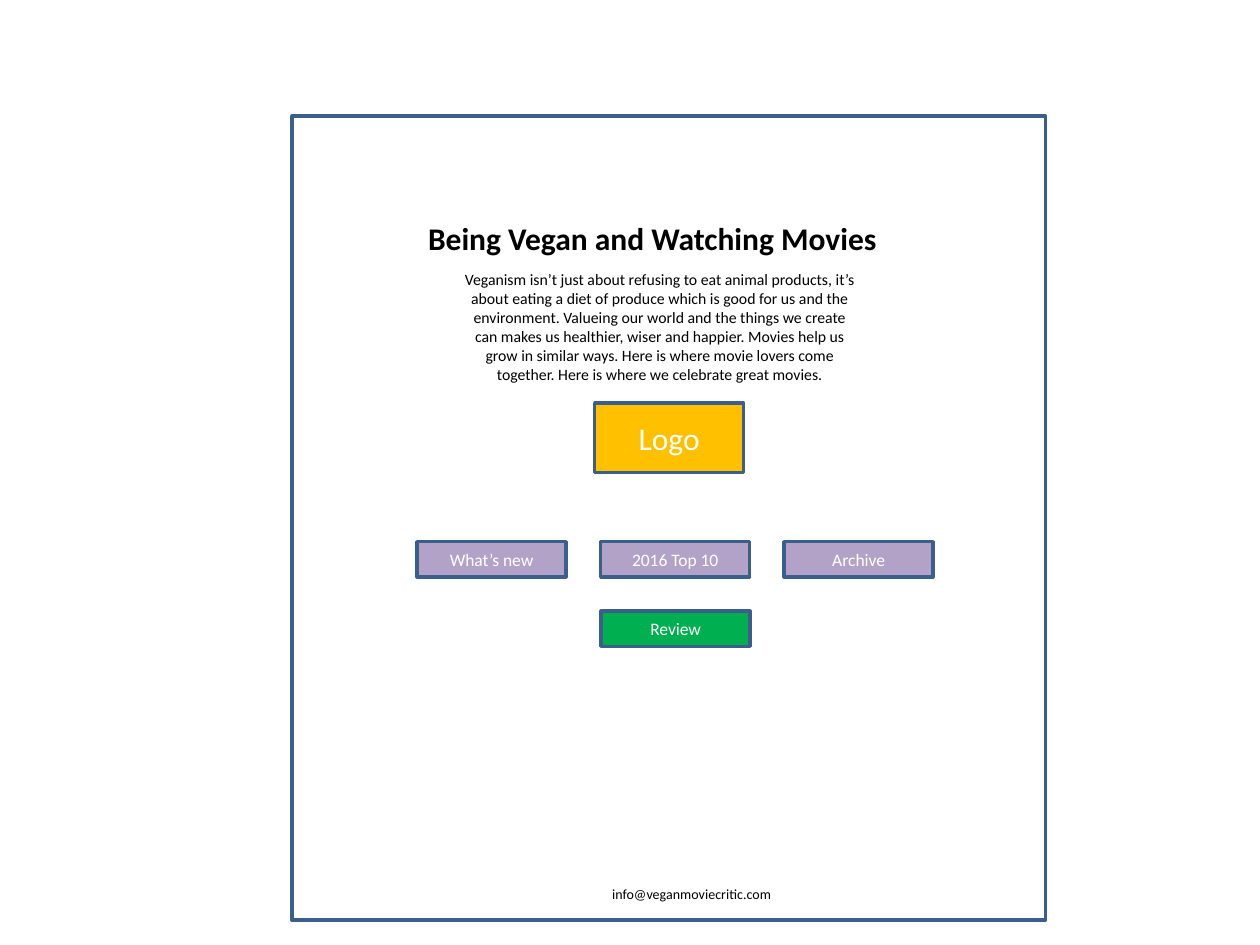
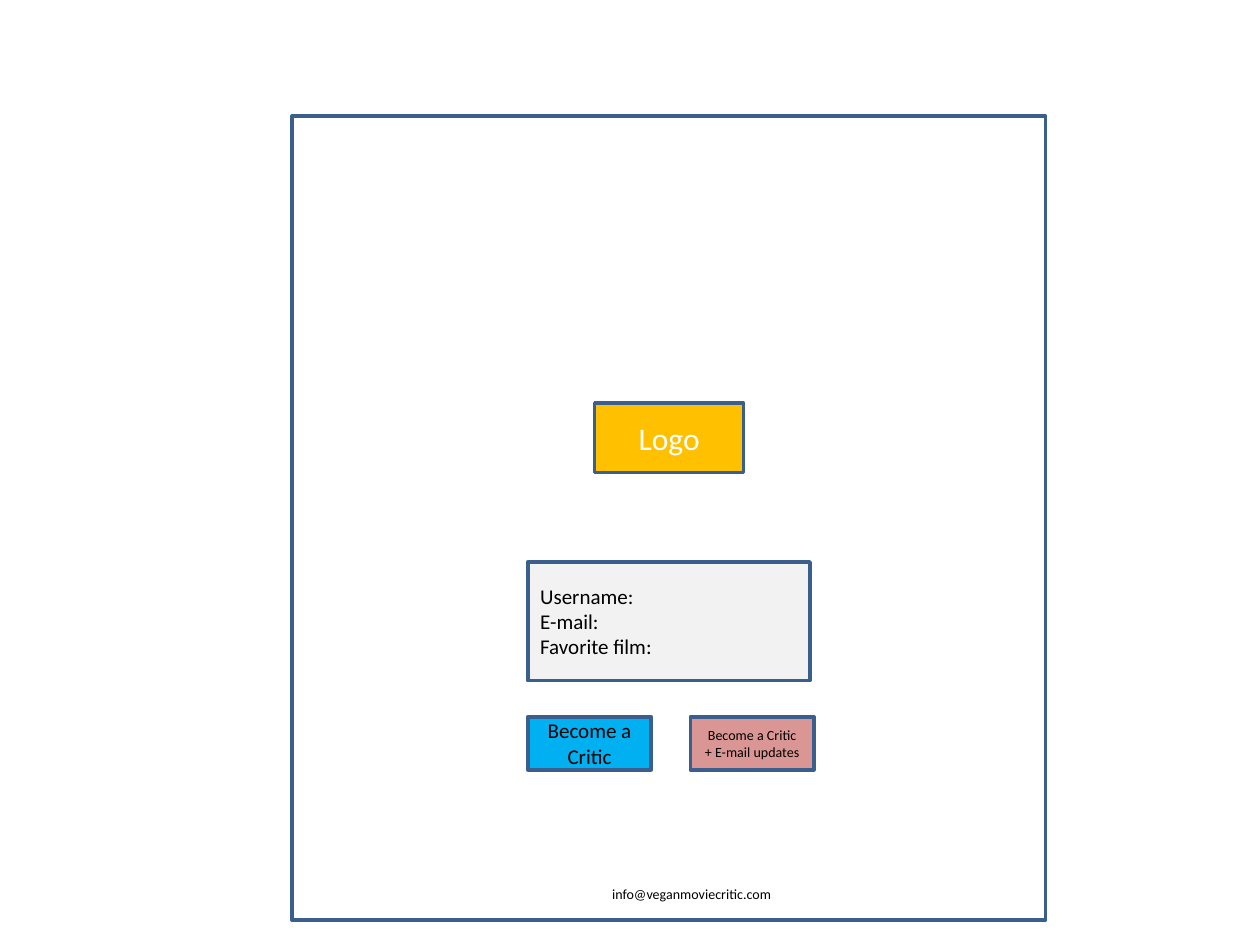
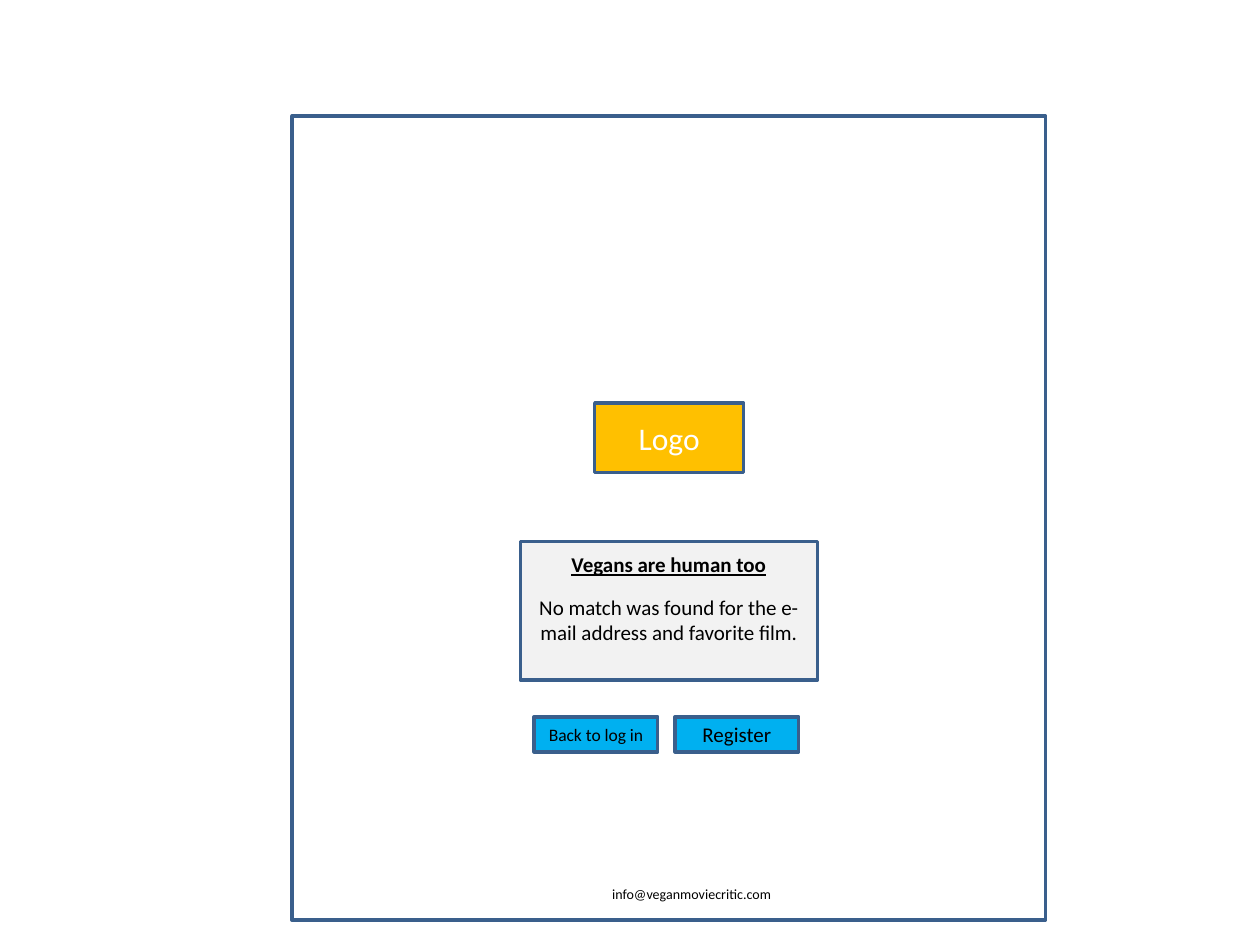
from dataclasses import dataclass, field

from pptx import Presentation
from pptx.dml.color import RGBColor
from pptx.enum.shapes import MSO_SHAPE
from pptx.enum.text import MSO_ANCHOR, MSO_AUTO_SIZE, PP_ALIGN
from pptx.slide import Slide
from pptx.text.text import TextFrame
from pptx.util import Cm, Pt

# Shared look
WHITE = RGBColor(0xFF, 0xFF, 0xFF)
BLACK = RGBColor(0x00, 0x00, 0x00)
OUTLINE = RGBColor(0x3A, 0x5F, 0x8C)
AMBER = RGBColor(0xFF, 0xC0, 0x00)
LILAC = RGBColor(0xB3, 0xA2, 0xC7)
GREEN = RGBColor(0x00, 0xB0, 0x50)
SKY = RGBColor(0x00, 0xB0, 0xF0)
ROSE = RGBColor(0xD9, 0x96, 0x94)
PALE_GREY = RGBColor(0xF2, 0xF2, 0xF2)

RECTANGLE = MSO_SHAPE.RECTANGLE
MIDDLE = MSO_ANCHOR.MIDDLE
TOP = MSO_ANCHOR.TOP
FIT_SHAPE = MSO_AUTO_SIZE.SHAPE_TO_FIT_TEXT
LEFT = PP_ALIGN.LEFT
CENTER = PP_ALIGN.CENTER

FONT = "Calibri"
LINE_WIDTH = Pt(2)
BLANK_LAYOUT = 6

# Lengths in centimetres
NAV_TOP, NAV_PITCH = 10.92, 3.7
NAV_SIZE = (3.0, 0.71)
ACTION_TOP, ACTION_WIDTH = 14.45, 2.49


@dataclass(frozen=True)
class Line:
    """One paragraph; fmt holds font attributes that differ from the default."""
    text: str
    size: float
    color: RGBColor = BLACK
    align: PP_ALIGN = CENTER
    space_before: float = 0
    fmt: dict = field(default_factory=dict)


@dataclass(frozen=True)
class Area:
    left: float
    top: float
    width: float
    height: float

    def lengths(self) -> list[Cm]:
        return [Cm(v) for v in (self.left, self.top, self.width, self.height)]


@dataclass(frozen=True)
class Box:
    area: Area
    fill: RGBColor
    lines: tuple[Line, ...] = ()
    bottom_inset: float = 0.13


@dataclass(frozen=True)
class Caption:
    area: Area
    line: Line


def write_lines(frame: TextFrame, lines: tuple[Line, ...]) -> None:
    frame.word_wrap = True
    for index, line in enumerate(lines):
        paragraph = frame.paragraphs[0] if index == 0 else frame.add_paragraph()
        paragraph.text = line.text
        paragraph.alignment = line.align
        paragraph.space_before = Pt(line.space_before)
        for run in paragraph.runs:
            values = {"name": FONT, "size": Pt(line.size), **line.fmt}
            for attribute, value in values.items():
                setattr(run.font, attribute, value)
            run.font.color.rgb = line.color


def draw_box(slide: Slide, box: Box) -> None:
    shape = slide.shapes.add_shape(RECTANGLE, *box.area.lengths())
    shape.shadow.inherit = False
    shape.fill.solid()
    shape.fill.fore_color.rgb = box.fill
    shape.line.color.rgb = OUTLINE
    shape.line.width = LINE_WIDTH
    shape.text_frame.vertical_anchor = MIDDLE
    shape.text_frame.margin_bottom = Cm(box.bottom_inset)
    write_lines(shape.text_frame, box.lines)


def draw_caption(slide: Slide, caption: Caption) -> None:
    frame = slide.shapes.add_textbox(*caption.area.lengths()).text_frame
    frame.vertical_anchor = TOP
    write_lines(frame, (caption.line,))
    frame.auto_size = FIT_SHAPE


# Parts on every page
PAGE_FRAME = Box(Area(5.89, 2.34, 15.19, 16.21), WHITE)
LOGO = Box(Area(11.99, 8.13, 3.0, 1.4), AMBER, (Line("Logo", 18, WHITE),))
CONTACT = Caption(Area(12.09, 17.73, 3.99, 0.61),
                  Line("info@veganmoviecritic.com", 8, align=LEFT))


def nav_button(label: str, left: float, top: float, fill: RGBColor) -> Box:
    return Box(Area(left, top, *NAV_SIZE), fill, (Line(label, 10, WHITE),))


def action_button(label: str, size: float, left: float, height: float,
                  fill: RGBColor = SKY) -> Box:
    return Box(Area(left, ACTION_TOP, ACTION_WIDTH, height), fill,
               (Line(label, size),))


# Home page
home_captions = [
    Caption(Area(8.38, 4.29, 10.24, 1.02),
            Line("Being Vegan and Watching Movies", 18, align=LEFT,
                 fmt={"bold": True})),
    Caption(Area(9.09, 5.31, 8.41, 2.57),
            Line("Veganism isn’t just about refusing to eat animal products, "
                 "it’s about eating a diet of produce which is good for us and "
                 "the environment. Valueing our world and the things we create "
                 "can makes us healthier, wiser and happier. Movies help us "
                 "grow in similar ways. Here is where movie lovers come "
                 "together. Here is where we celebrate great movies.", 9)),
]
home_boxes = [
    nav_button(label, 8.41 + column * NAV_PITCH, NAV_TOP, LILAC)
    for column, label in enumerate(("What’s new", "2016 Top 10", "Archive"))
]
home_boxes.append(nav_button("Review", 12.12, 12.32, GREEN))

# Registration page
registration_boxes = [
    Box(Area(10.64, 11.33, 5.69, 2.39), PALE_GREY,
        tuple(Line(label, 12, align=LEFT)
              for label in ("Username:", "E-mail:", "Favorite film:"))),
    action_button("Become a Critic", 12, 10.64, 1.07),
    action_button("Become a Critic\v+ E-mail updates", 8, 13.92, 1.07, ROSE),
]

# Failed log-in page
no_match_boxes = [
    Box(Area(10.49, NAV_TOP, 5.99, 2.79), PALE_GREY,
        (Line("Vegans are human too", 12,
              fmt={"bold": True, "underline": True}),
         Line("No match was found for the e-mail address and favorite film.",
              12, space_before=9.8)),
        bottom_inset=0.64),
    action_button("Back to log in", 10, 10.77, 0.71),
    action_button("Register", 12, 13.61, 0.71),
]

# Build the deck
deck = Presentation()
deck.slide_width, deck.slide_height = Cm(25.4), Cm(19.05)
pages = (
    (home_boxes, home_captions),
    (registration_boxes, []),
    (no_match_boxes, []),
)
for boxes, captions in pages:
    slide = deck.slides.add_slide(deck.slide_layouts[BLANK_LAYOUT])
    for box in (PAGE_FRAME, LOGO, *boxes):
        draw_box(slide, box)
    for caption in (*captions, CONTACT):
        draw_caption(slide, caption)

deck.save("out.pptx")
